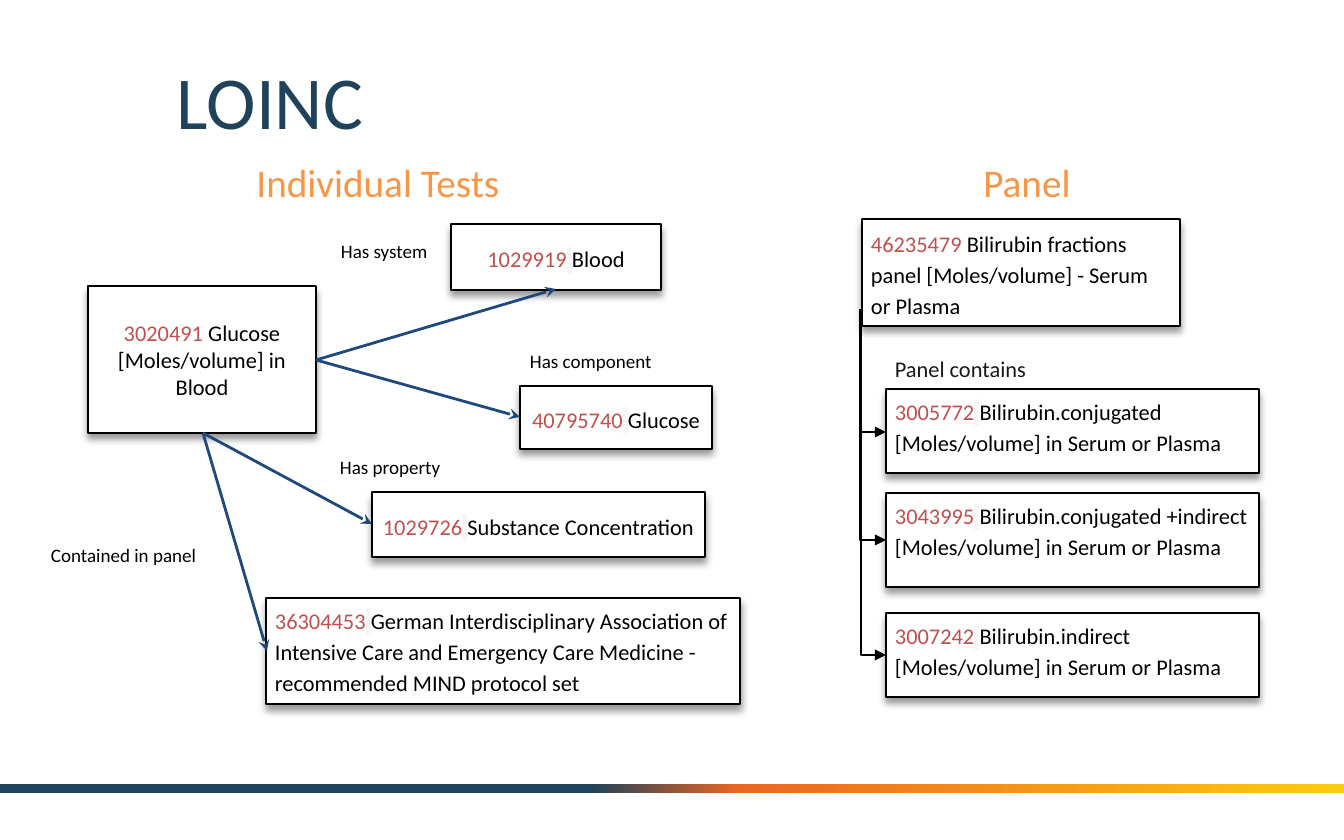
import copy
from dataclasses import dataclass

import pptx
import pptx.dml.color
import pptx.enum.shapes
import pptx.enum.text
import pptx.oxml
import pptx.oxml.ns
import pptx.util


@dataclass(frozen=True)
class Theme:
    font: str = "Calibri"
    navy: str = "20425A"
    orange: str = "F79646"
    code: str = "C0504D"
    link: str = "1F497D"
    black: str = "000000"
    white: str = "FFFFFF"
    dark: str = "181818"
    highlight: str = "F6F6F6"
    bar: tuple = ((0.44, "20425A"), (0.55, "EB6622"), (1, "FCCB10"))
    title_size: float = 40
    heading_size: float = 21
    body_size: float = 12
    label_size: float = 10.2


theme = Theme()
PX = 914400 / 134.4
RGB = pptx.dml.color.RGBColor.from_string
ANCHOR = pptx.enum.text.MSO_ANCHOR
ALIGN = pptx.enum.text.PP_ALIGN
CONNECTOR = pptx.enum.shapes.MSO_CONNECTOR
RECTANGLE = pptx.enum.shapes.MSO_SHAPE.RECTANGLE
NS = 'xmlns:a="http://schemas.openxmlformats.org/drawingml/2006/main"'
SHADOW = (f'<a:effectLst {NS}><a:outerShdw blurRad="50800" dist="38100" dir="5400000" '
          'algn="t" rotWithShape="0"><a:srgbClr val="000000"><a:alpha val="40000"/>'
          '</a:srgbClr></a:outerShdw></a:effectLst>')


def write(shape, parts, size, align=ALIGN.LEFT, anchor=ANCHOR.TOP, spacing=1, inset=5):
    """Fill a shape with one paragraph of (text, colour, highlight) parts."""
    frame = shape.text_frame
    settings = {"word_wrap": True, "vertical_anchor": anchor,
                "margin_left": round(9 * PX), "margin_right": round(9 * PX),
                "margin_top": round(inset * PX), "margin_bottom": round(inset * PX)}
    for name, value in settings.items():
        setattr(frame, name, value)
    para = frame.paragraphs[0]
    para.alignment, para.line_spacing = align, spacing
    for text, color, highlight in parts:
        span = para.add_run()
        span.text = text
        span.font.size = pptx.util.Pt(size)
        span.font.name = theme.font
        span.font.color.rgb = RGB(color)
        if highlight:
            fill = span.font._element.find(pptx.oxml.ns.qn("a:solidFill"))
            fill.addnext(pptx.oxml.parse_xml(
                f'<a:highlight {NS}><a:srgbClr val="{highlight}"/></a:highlight>'))


def style_arrow(arrow, color, width, head):
    arrow.line.color.rgb = RGB(color)
    arrow.line.width = pptx.util.Pt(width)
    arrow.line._get_or_add_ln().append(pptx.oxml.parse_xml(f'<a:tailEnd {NS} type="{head}"/>'))
    arrow._element.spPr.append(pptx.oxml.parse_xml(f"<a:effectLst {NS}/>"))


deck = pptx.Presentation()
deck.slide_width, deck.slide_height = round(1344 * PX), round(840 * PX)
page = deck.slides.add_slide(deck.slide_layouts[5])

# Title and footer bar
title = page.shapes.title
for name, value in {"left": 168, "top": 59, "width": 1109, "height": 93}.items():
    setattr(title, name, round(value * PX))
write(title, [("LOINC", theme.navy, None)], theme.title_size,
      anchor=ANCHOR.MIDDLE, spacing=0.9, inset=9)

bar = page.shapes.add_shape(RECTANGLE, 0, round(784 * PX), deck.slide_width, round(9 * PX))
bar.shadow.inherit = False
bar.line.fill.background()
bar.fill.gradient()
bar.fill.gradient_angle = 0
stop_list = bar._element.spPr.find(".//" + pptx.oxml.ns.qn("a:gsLst"))
stop_list.append(copy.deepcopy(stop_list[-1]))
for stop, (position, color) in zip(bar.fill.gradient_stops, theme.bar):
    stop.position = position
    stop.color.rgb = RGB(color)

# Headings and relationship labels
headings = [("Individual Tests", 200), ("Panel", 849)]
for text, left in headings:
    box = page.shapes.add_textbox(*(round(v * PX) for v in (left, 153, 356, 58)))
    write(box, [(text, theme.orange, None)], theme.heading_size, ALIGN.CENTER)

label_style = (theme.black, theme.label_size, 0.95)
labels = [
    ("Contained in panel", 42, 536, 198, *label_style),
    ("Has property", 331, 448, 140, *label_style),
    ("Has component", 521, 342, 198, *label_style),
    ("Has system", 332, 232, 134, *label_style),
    ("Panel contains", 886, 342, 198, theme.dark, theme.body_size, 1.15),
]
for text, left, top, width, color, size, spacing in labels:
    box = page.shapes.add_textbox(*(round(v * PX) for v in (left, top, width, 43)))
    write(box, [(text, color, None)], size, spacing=spacing, inset=9)

# Concept boxes: code, name, bounds, alignment, anchor, line spacing, gap highlight
centred = (ALIGN.CENTER, ANCHOR.MIDDLE, 1.15, theme.highlight)
listed = (ALIGN.LEFT, ANCHOR.TOP, 1.15, theme.highlight)
members = [
    ("3005772", "Bilirubin.conjugated [Moles/volume] in Serum or Plasma", 389, 84),
    ("3043995", "Bilirubin.conjugated +indirect [Moles/volume] in Serum or Plasma", 493, 94),
    ("3007242", "Bilirubin.indirect [Moles/volume] in Serum or Plasma", 613, 84),
]
concepts = [
    ("1029919", "Blood", (451, 224, 210, 66), *centred),
    ("40795740", "Glucose", (520, 386, 192, 63), *centred),
    ("1029726", "Substance Concentration", (372, 492, 333, 65), *centred),
    ("36304453", "German Interdisciplinary Association of Intensive Care and "
     "Emergency Care Medicine - recommended MIND protocol set", (266, 598, 474, 106), *listed),
    ("3020491", "Glucose [Moles/volume] in Blood", (88, 286, 228, 147),
     ALIGN.CENTER, ANCHOR.MIDDLE, 1, None),
    ("46235479", "Bilirubin fractions panel [Moles/volume] - Serum or Plasma",
     (862, 219, 318, 107), ALIGN.LEFT, ANCHOR.MIDDLE, 1.15, None),
]
concepts += [(code, name, (886, top, 373, height), *listed)
             for code, name, top, height in members]
for code, name, bounds, align, anchor, spacing, highlight in concepts:
    box = page.shapes.add_shape(RECTANGLE, *(round(v * PX) for v in bounds))
    box.fill.solid()
    box.fill.fore_color.rgb = RGB(theme.white)
    box.line.color.rgb = RGB(theme.black)
    box.line.width = pptx.util.Pt(0.75)
    box._element.spPr.append(pptx.oxml.parse_xml(SHADOW))
    parts = [(code, theme.code, None), (" ", theme.black, highlight), (name, theme.black, None)]
    write(box, parts, theme.body_size, align, anchor, spacing)

# Straight arrows from the glucose test to its attributes
source_bottom, source_right = (203, 433), (316, 360)
links = [(source_bottom, (372, 524)), (source_bottom, (267, 651)),
         (source_right, (520, 417)), (source_right, (556, 289))]
for start, end in links:
    arrow = page.shapes.add_connector(CONNECTOR.STRAIGHT, *(round(v * PX) for v in start + end))
    style_arrow(arrow, theme.link, 1.5, "stealth")

# Elbow arrows run down, then right: a one-bend connector, turned and flipped
elbows = [(861, 313, 655), (860, 309, 540), (861, 313, 432)]
for left, top, bottom in elbows:
    middle_x, middle_y = (left + 886) / 2, (top + bottom) / 2
    half_run, half_rise = (bottom - top) / 2, (886 - left) / 2
    corners = (middle_x - half_run, middle_y - half_rise,
               middle_x + half_run, middle_y + half_rise)
    arrow = page.shapes.add_connector(CONNECTOR.ELBOW, *(round(v * PX) for v in corners))
    properties = arrow._element.spPr
    properties.find(pptx.oxml.ns.qn("a:prstGeom")).set("prst", "bentConnector2")
    transform = properties.find(pptx.oxml.ns.qn("a:xfrm"))
    for name, value in {"rot": "16200000", "flipH": "1"}.items():
        transform.set(name, value)
    style_arrow(arrow, theme.black, 1, "triangle")

deck.save("out.pptx")
